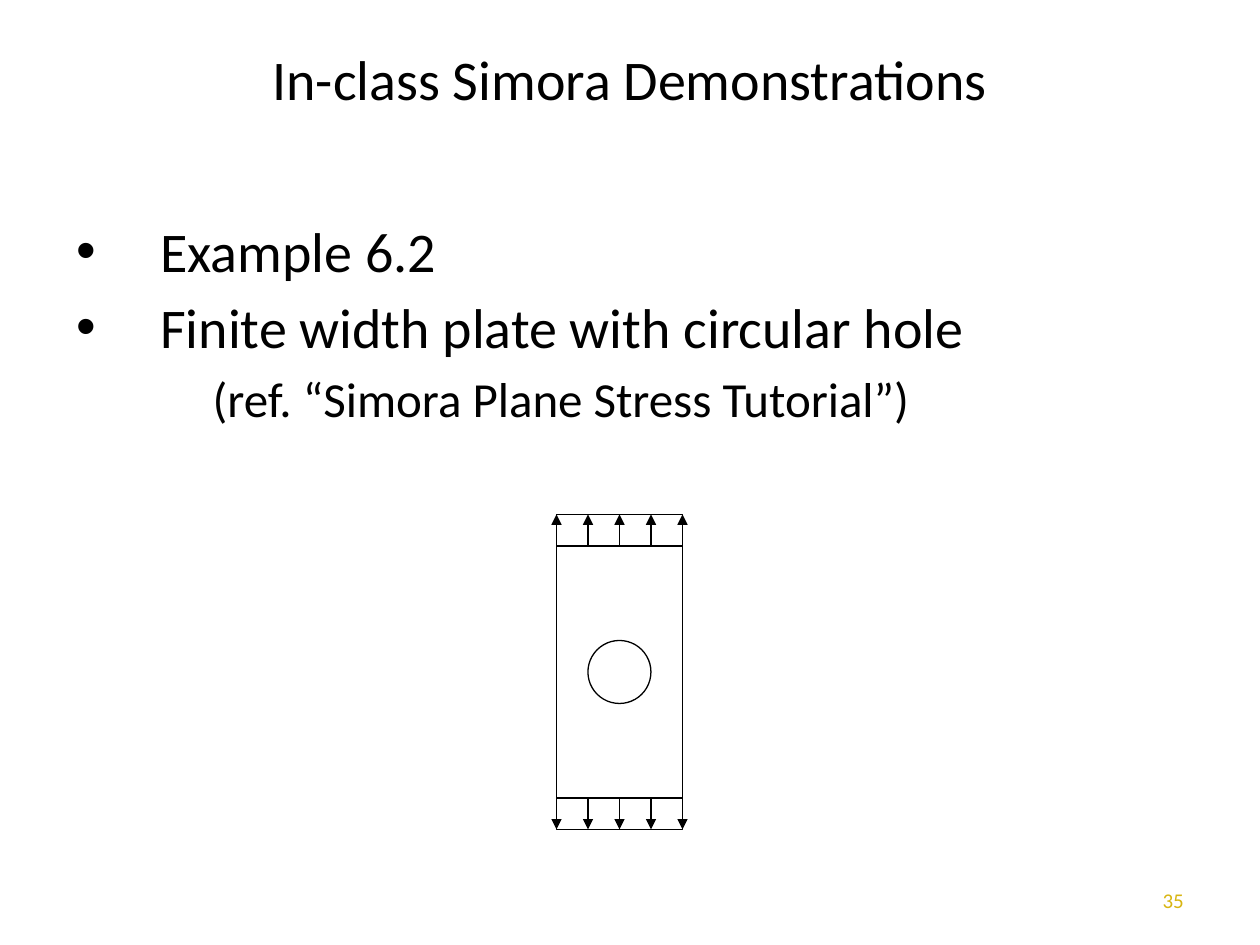
from pptx import Presentation
from pptx.dml.color import RGBColor
from pptx.enum.shapes import MSO_CONNECTOR as Connector, MSO_SHAPE as Shape
from pptx.enum.text import MSO_ANCHOR as Anchor, PP_ALIGN as Align
from pptx.oxml.ns import qn
from pptx.util import Pt
from lxml.etree import SubElement

SCALE = 9525
BLACK, WHITE, GOLD = "000000", "FFFFFF", "D8B511"
ARROW_COUNT = 5


def px(length):
    return round(length * SCALE)


def color(value):
    return RGBColor.from_string(value)


def apply(target, values):
    for name, value in values.items():
        setattr(target, name, value)


def format_frame(frame, anchor):
    apply(frame, {"word_wrap": True, "vertical_anchor": anchor,
                  "margin_left": px(10), "margin_right": px(10),
                  "margin_top": px(5), "margin_bottom": px(5)})


def write(paragraph, text, size, align=Align.LEFT, before=0, hue=BLACK):
    apply(paragraph, {"alignment": align, "space_before": Pt(before)})
    run = paragraph.add_run()
    run.text = text
    apply(run.font, {"name": "Calibri", "size": Pt(size)})
    run.font.color.rgb = color(hue)


def indent(paragraph, left, hanging, bullet):
    properties = paragraph._p.get_or_add_pPr()
    properties.set("marL", str(px(left)))
    properties.set("indent", str(-px(hanging)))
    if bullet:
        SubElement(properties, qn("a:buFont")).set("typeface", "Arial")
        SubElement(properties, qn("a:buChar")).set("char", bullet)
    else:
        SubElement(properties, qn("a:buNone"))


def add_title(slide, left, top, width, height):
    title = slide.shapes.title
    apply(title, {"left": px(left), "top": px(top),
                  "width": px(width), "height": px(height)})
    format_frame(title.text_frame, Anchor.TOP)
    write(title.text_frame.paragraphs[0], "In-class Simora Demonstrations",
          32, Align.CENTER)


def add_body(slide, left, top, width, height):
    frame = slide.shapes.add_textbox(*map(px, (left, top, width, height))).text_frame
    format_frame(frame, Anchor.TOP)
    items = [
        ("Example 6.2", 32, 0, 64, 64, "•"),
        ("Finite width plate with circular hole", 32, 5, 64, 64, "•"),
        ("(ref. “Simora Plane Stress Tutorial”)", 28, 5, 104, 0, None),
    ]
    for index, (text, size, before, margin, hanging, bullet) in enumerate(items):
        paragraph = frame.add_paragraph() if index else frame.paragraphs[0]
        write(paragraph, text, size, before=before)
        indent(paragraph, margin, hanging, bullet)


def add_outline(group, kind, left, top, width, height):
    shape = group.shapes.add_shape(kind, *map(px, (left, top, width, height)))
    shape.shadow.inherit = False
    shape.fill.solid()
    shape.fill.fore_color.rgb = color(WHITE)
    shape.line.color.rgb = color(BLACK)
    shape.line.width = Pt(0.75)


def add_arrow(group, x, start, end):
    arrow = group.shapes.add_connector(
        Connector.STRAIGHT, *map(px, (x, start, x, end)))
    arrow.line.color.rgb = color(BLACK)
    arrow.line.width = Pt(0.75)
    SubElement(arrow.line._get_or_add_ln(), qn("a:tailEnd")).set("type", "triangle")
    SubElement(arrow._element.spPr, qn("a:effectLst"))


def add_plate(slide, left, top, width, height):
    group = slide.shapes.add_group_shape()
    load = 24
    hole = width // 2
    plate_top, plate_bottom = top + load, top + height - load
    add_outline(group, Shape.RECTANGLE, left, plate_top,
                width, plate_bottom - plate_top)
    for edge, direction in ((plate_bottom, 1), (plate_top, -1)):
        end = edge + direction * load
        add_outline(group, Shape.RECTANGLE, left, min(edge, end), width, load)
        for index in range(ARROW_COUNT):
            add_arrow(group, left + index * width / (ARROW_COUNT - 1), edge, end)
    add_outline(group, Shape.OVAL, left + (width - hole) / 2,
                top + (height - hole) / 2, hole, hole)


def add_slide_number(slide, left, top, width, height):
    frame = slide.shapes.add_textbox(*map(px, (left, top, width, height))).text_frame
    format_frame(frame, Anchor.MIDDLE)
    write(frame.paragraphs[0], "35", 12, Align.RIGHT, hue=GOLD)


def main():
    presentation = Presentation()
    apply(presentation, {"slide_width": px(960), "slide_height": px(720)})
    slide = presentation.slides.add_slide(presentation.slide_layouts[5])
    add_slide_number(slide, 688, 667, 224, 38)
    add_title(slide, 48, 29, 864, 120)
    add_body(slide, 48, 160, 864, 475)
    add_plate(slide, 424, 392, 96, 240)
    presentation.save("out.pptx")


if __name__ == "__main__":
    main()
